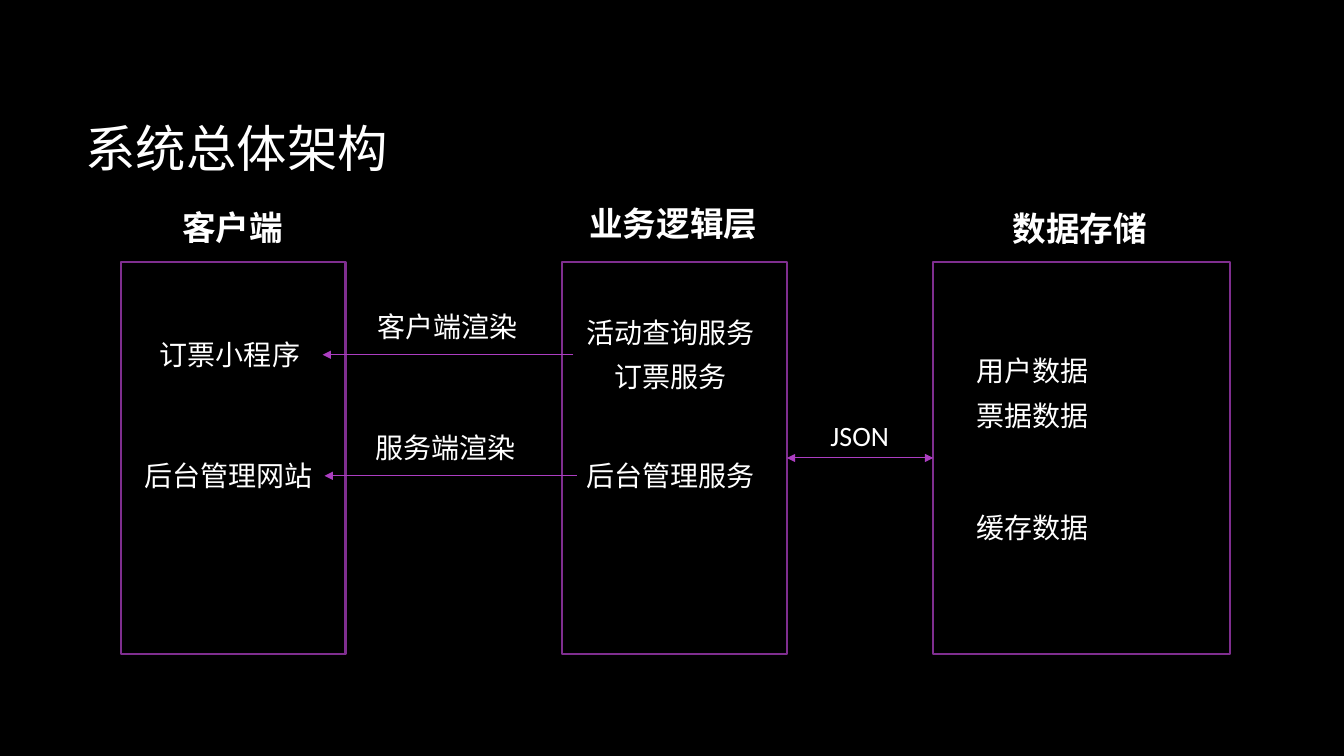
"""Build the system architecture slide with its client, logic and storage columns."""
from dataclasses import dataclass

from lxml.etree import SubElement
from pptx import Presentation
from pptx.dml.color import RGBColor
from pptx.enum.shapes import MSO_CONNECTOR, MSO_SHAPE
from pptx.enum.text import MSO_ANCHOR, MSO_AUTO_SIZE, PP_ALIGN
from pptx.oxml.ns import qn
from pptx.shapes.autoshape import Shape
from pptx.shapes.connector import Connector
from pptx.slide import Slide
from pptx.util import Cm, Pt


@dataclass(frozen=True)
class Theme:
    font: str = "Calibri"
    background: RGBColor = RGBColor(0x00, 0x00, 0x00)
    text: RGBColor = RGBColor(0xFF, 0xFF, 0xFF)
    frame: RGBColor = RGBColor(0x7F, 0x2E, 0x8F)
    arrow: RGBColor = RGBColor(0xAC, 0x3E, 0xC1)
    title_size: int = 36
    heading_size: int = 24
    label_size: int = 20
    frame_width: float = 1.5
    arrow_width: float = 0.75


@dataclass(frozen=True)
class Label:
    text: str
    left: float
    top: float
    width: float


@dataclass(frozen=True)
class Column:
    heading: Label
    left: float
    width: float


@dataclass(frozen=True)
class Arrow:
    start: float
    end: float
    y: float
    ends: tuple[str, ...] = ("a:tailEnd",)


THEME = Theme()
COLUMN_TOP, COLUMN_HEIGHT = 6.6, 9.88

CLIENT = Column(Label("客户端", 4.34, 5.08, 3.1), 3.05, 5.66)
LOGIC = Column(Label("业务逻辑层", 14.6, 5, 4.8), 14.17, 5.66)
STORAGE = Column(Label("数据存储", 25.27, 5.11, 3.96), 23.52, 7.47)

LABELS = (
    Label("订票小程序", 3.78, 8.38, 4.06),
    Label("后台管理网站", 3.4, 11.43, 4.78),
    Label("活动查询服务", 14.53, 7.82, 4.78),
    Label("订票服务", 15.24, 8.94, 3.35),
    Label("后台管理服务", 14.53, 11.43, 4.78),
    Label("用户数据", 24.36, 8.79, 3.35),
    Label("票据数据", 24.36, 9.91, 3.35),
    Label("缓存数据", 24.36, 12.73, 3.35),
    Label("客户端渲染", 9.27, 7.67, 4.06),
    Label("服务端渲染", 9.22, 10.72, 4.06),
    Label("JSON", 20.68, 10.41, 2),
)

RENDER_ARROWS = (Arrow(14.45, 8.13, 8.94), Arrow(14.53, 8.18, 11.99))
DATA_ARROW = Arrow(
    LOGIC.left + LOGIC.width,
    STORAGE.left,
    COLUMN_TOP + COLUMN_HEIGHT / 2,
    ("a:headEnd", "a:tailEnd"),
)


def write_text(shape: Shape, text: str, size: int, bold: bool = False) -> None:
    """Put one styled line of text into a shape."""
    shape.text_frame.text = text
    paragraph = shape.text_frame.paragraphs[0]
    paragraph.alignment = PP_ALIGN.LEFT
    font = paragraph.runs[0].font
    font.name, font.size, font.bold = THEME.font, Pt(size), bold
    font.color.rgb = THEME.text


def add_title(slide: Slide, text: str) -> None:
    """Place and format the title placeholder."""
    title = slide.shapes.title
    title.left, title.top = Cm(1.9), Cm(1.7)
    title.width, title.height = Cm(28.14), Cm(4.04)
    title.text_frame.vertical_anchor = MSO_ANCHOR.MIDDLE
    title.text_frame.auto_size = MSO_AUTO_SIZE.NONE
    write_text(title, text, THEME.title_size)


def add_label(slide: Slide, label: Label, size: int, bold: bool = False) -> None:
    """Add a single-line text box."""
    height = Cm(0.25) + Pt(size * 1.2)
    box = slide.shapes.add_textbox(Cm(label.left), Cm(label.top), Cm(label.width), height)
    box.text_frame.word_wrap = False
    box.text_frame.auto_size = MSO_AUTO_SIZE.SHAPE_TO_FIT_TEXT
    write_text(box, label.text, size, bold)


def add_column(slide: Slide, column: Column) -> Shape:
    """Add a column heading and its outlined frame."""
    add_label(slide, column.heading, THEME.heading_size, bold=True)
    frame = slide.shapes.add_shape(
        MSO_SHAPE.RECTANGLE, Cm(column.left), Cm(COLUMN_TOP), Cm(column.width), Cm(COLUMN_HEIGHT)
    )
    frame.shadow.inherit = False
    frame.fill.background()
    frame.line.color.rgb = THEME.frame
    frame.line.width = Pt(THEME.frame_width)
    return frame


def add_arrow(slide: Slide, arrow: Arrow) -> Connector:
    """Add a horizontal connector with triangular heads."""
    connector = slide.shapes.add_connector(
        MSO_CONNECTOR.STRAIGHT, Cm(arrow.start), Cm(arrow.y), Cm(arrow.end), Cm(arrow.y)
    )
    connector.line.color.rgb = THEME.arrow
    connector.line.width = Pt(THEME.arrow_width)
    properties = connector._element.spPr
    for end in arrow.ends:
        SubElement(properties.find(qn("a:ln")), qn(end), type="triangle")
    SubElement(properties, qn("a:effectLst"))
    return connector


def main() -> None:
    """Build and save the presentation."""
    presentation = Presentation()
    presentation.slide_width, presentation.slide_height = Cm(33.87), Cm(19.05)
    slide = presentation.slides.add_slide(presentation.slide_layouts[5])
    slide.background.fill.solid()
    slide.background.fill.fore_color.rgb = THEME.background

    add_title(slide, "系统总体架构")
    _, logic, storage = [add_column(slide, column) for column in (CLIENT, LOGIC, STORAGE)]
    for label in LABELS:
        add_label(slide, label, THEME.label_size)
    for arrow in RENDER_ARROWS:
        add_arrow(slide, arrow)
    data_connector = add_arrow(slide, DATA_ARROW)
    data_connector.begin_connect(logic, 3)
    data_connector.end_connect(storage, 1)

    presentation.save("out.pptx")


if __name__ == "__main__":
    main()
